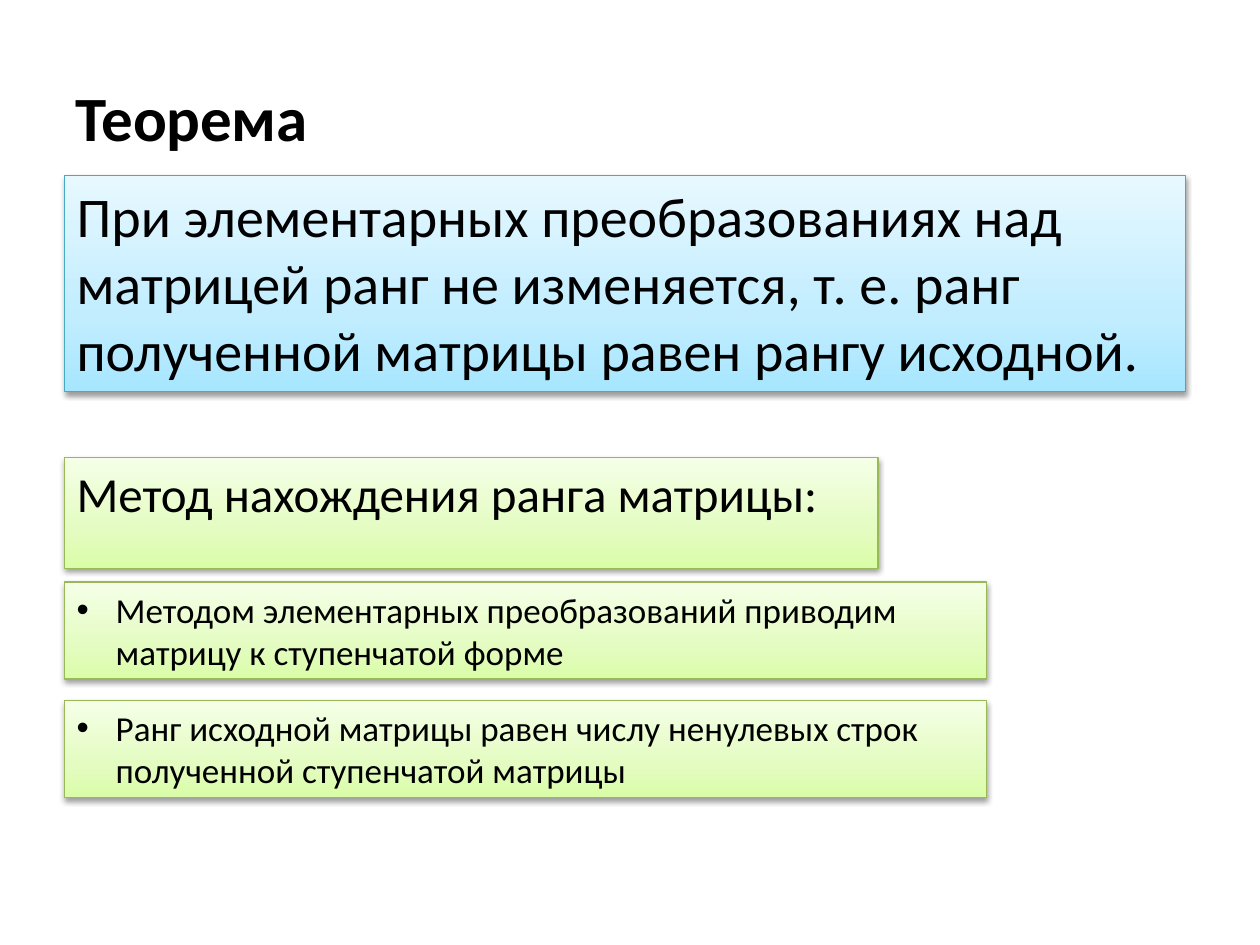
"""Build the slide on matrix rank and elementary transformations."""
from pptx import Presentation
from pptx.dml.color import RGBColor
from pptx.enum import shapes, text
from pptx.oxml import parse_xml
from pptx.oxml.ns import nsdecls, qn
from pptx.util import Inches, Pt

BLACK = RGBColor(0x00, 0x00, 0x00)
BLUE_LINE = RGBColor(0x46, 0xAA, 0xC5)
GREEN_LINE = RGBColor(0x98, 0xB9, 0x55)
BLUE = (BLUE_LINE, ("A7E6FF", "C1EDFF", "E7F8FF"))
GREEN = (GREEN_LINE, ("DAFDA7", "E4FCC2", "F5FFE7"))
STOPS = (0, 35, 100)
FONT = "Calibri"
LEFT = 0.51
HANGING = 0.31

TITLE = "Теорема"
PANELS = [
    (1.39, 8.9, 1.72, BLUE, 32, False,
     ["При элементарных преобразованиях над матрицей ранг не изменяется, "
      "т. е. ранг полученной матрицы равен рангу исходной."]),
    (3.63, 6.46, 0.88, GREEN, 28, False, ["Метод нахождения ранга матрицы:"]),
    (4.62, 7.32, 0.77, GREEN, 20, True,
     ["Методом элементарных преобразований приводим матрицу к ступенчатой форме"]),
    (5.56, 7.32, 0.77, GREEN, 20, True,
     ["Ранг исходной матрицы равен числу ненулевых строк",
      "полученной ступенчатой матрицы"]),
]


def style_font(paragraph, size, bold=False):
    font = paragraph.font
    font.name, font.size, font.bold = FONT, Pt(size), bold
    font.color.rgb = BLACK


def add_gradient_and_shadow(panel, colors):
    stops = "".join(
        f'<a:gs pos="{pos * 1000}"><a:srgbClr val="{color}"/></a:gs>'
        for pos, color in zip(STOPS, colors))
    gradient = parse_xml(
        f'<a:gradFill {nsdecls("a")} rotWithShape="1"><a:gsLst>{stops}</a:gsLst>'
        '<a:lin ang="16200000" scaled="0"/></a:gradFill>')
    shadow = parse_xml(
        f'<a:effectLst {nsdecls("a")}><a:outerShdw blurRad="{Pt(3.1)}" dist="{Pt(1.6)}" '
        'dir="5400000" rotWithShape="0"><a:srgbClr val="000000">'
        '<a:alpha val="38000"/></a:srgbClr></a:outerShdw></a:effectLst>')
    properties = panel._element.spPr
    properties.find(qn("a:prstGeom")).addnext(gradient)
    properties.append(shadow)


def indent(paragraph, bulleted):
    properties = paragraph._p.get_or_add_pPr()
    properties.set("marL", str(Inches(HANGING)))
    properties.set("indent", str(-Inches(HANGING) if bulleted else 0))
    if bulleted:
        properties.append(parse_xml(f'<a:buFont {nsdecls("a")} typeface="Arial"/>'))
        properties.append(parse_xml(f'<a:buChar {nsdecls("a")} char="•"/>'))


def add_panel(slide, top, width, height, palette, size, listed, lines):
    line_color, gradient_colors = palette
    panel = slide.shapes.add_shape(
        shapes.MSO_SHAPE.RECTANGLE,
        Inches(LEFT), Inches(top), Inches(width), Inches(height))
    panel.line.color.rgb = line_color
    panel.line.width = Pt(0.75)
    add_gradient_and_shadow(panel, gradient_colors)
    frame = panel.text_frame
    frame.word_wrap = True
    frame.vertical_anchor = text.MSO_ANCHOR.TOP
    frame.text = "\n".join(lines)
    for number, paragraph in enumerate(frame.paragraphs):
        paragraph.alignment = text.PP_ALIGN.LEFT
        if listed:
            indent(paragraph, bulleted=number == 0)
        style_font(paragraph, size)


def main():
    deck = Presentation()
    deck.slide_width, deck.slide_height = Inches(10), Inches(7.5)
    slide = deck.slides.add_slide(deck.slide_layouts[6])

    title = slide.shapes.add_textbox(Inches(0.5), Inches(0.3), Inches(9), Inches(1.25))
    title.text_frame.word_wrap = True
    title.text_frame.vertical_anchor = text.MSO_ANCHOR.MIDDLE
    title.text_frame.text = TITLE
    style_font(title.text_frame.paragraphs[0], 36, bold=True)

    for panel in PANELS:
        add_panel(slide, *panel)
    deck.save("out.pptx")


if __name__ == "__main__":
    main()
